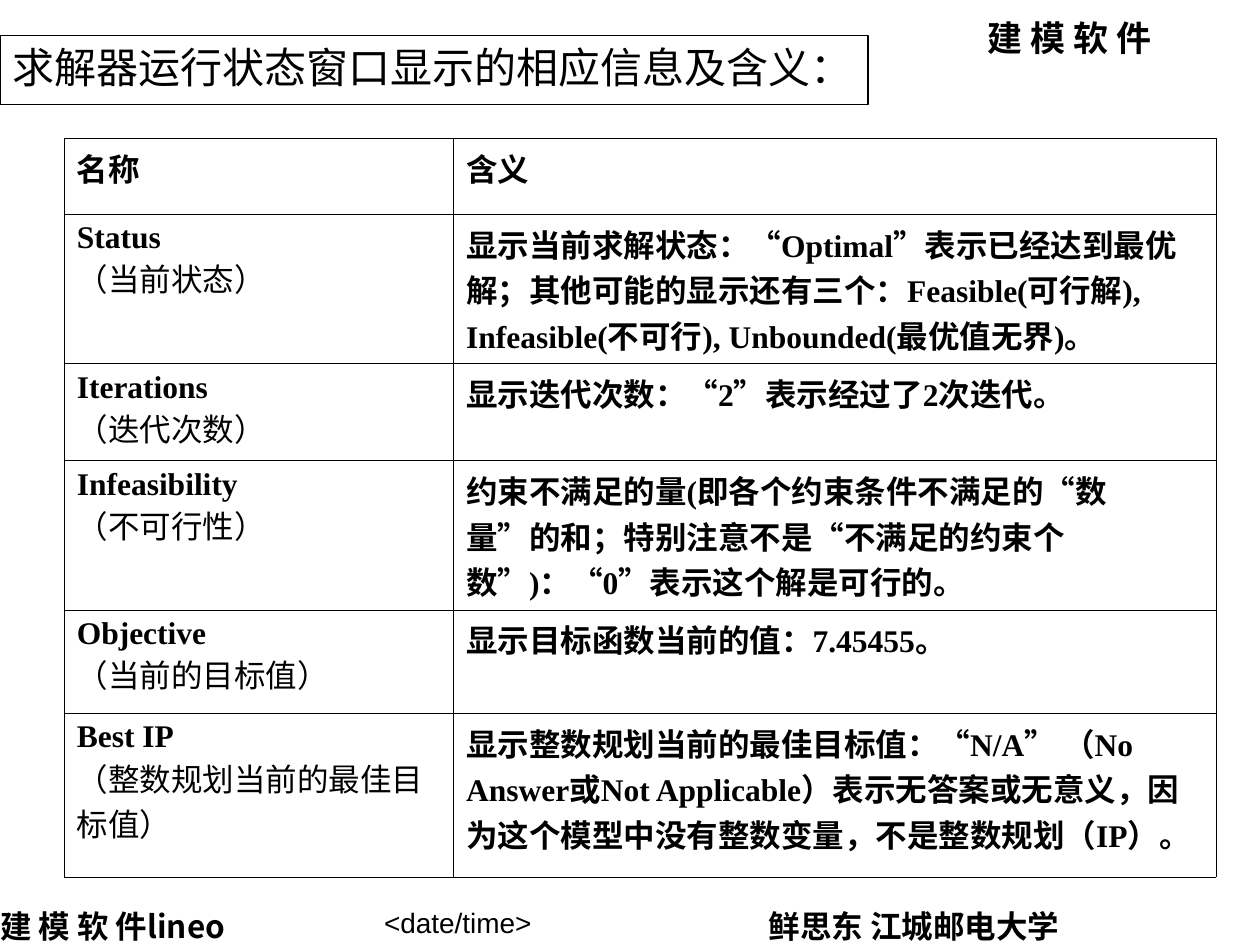
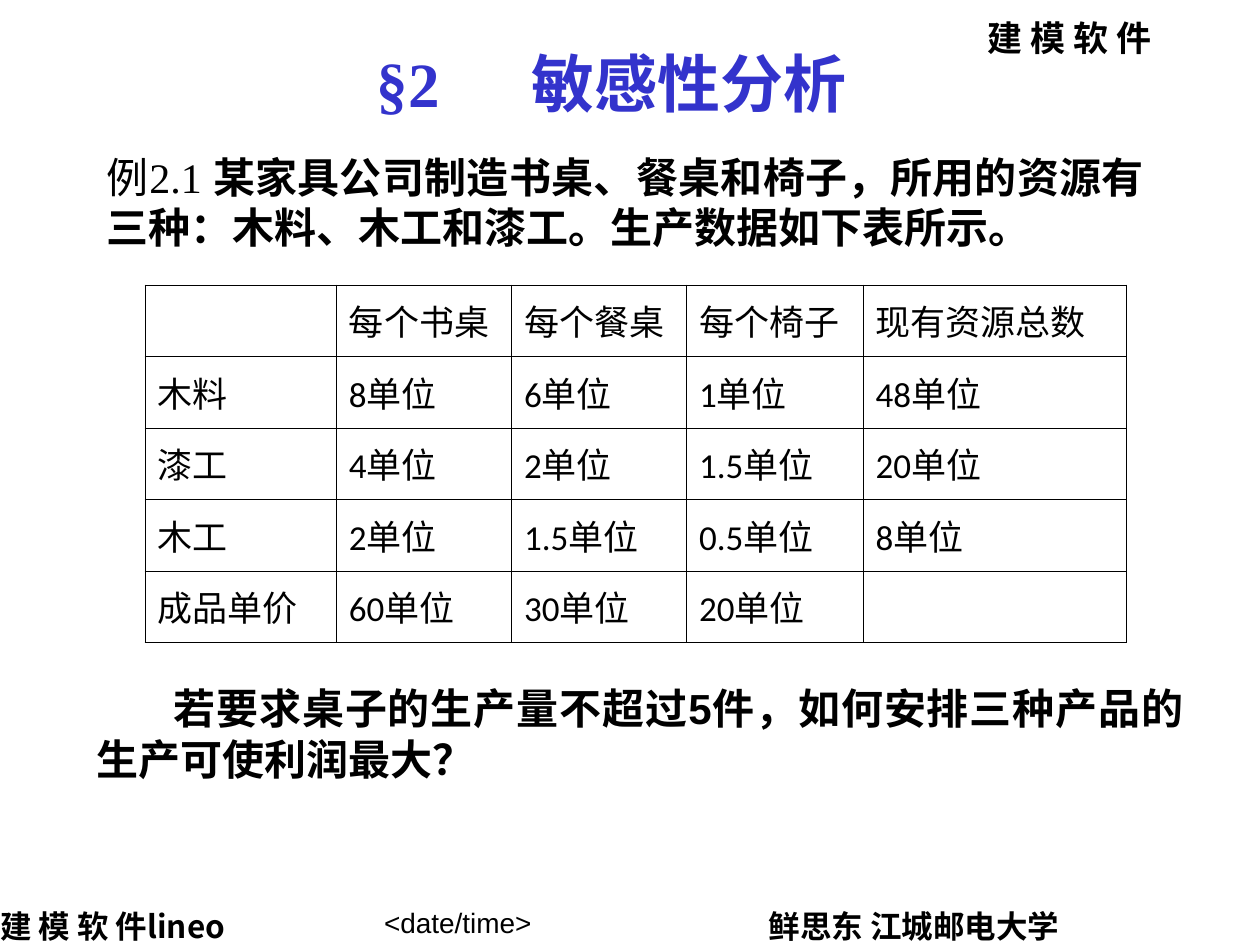
from itertools import groupby

from lxml.etree import SubElement
from pptx import Presentation
from pptx.dml.color import RGBColor
from pptx.enum.shapes import MSO_SHAPE
from pptx.enum.text import MSO_ANCHOR, MSO_AUTO_SIZE, PP_ALIGN
from pptx.oxml import parse_xml
from pptx.oxml.ns import nsdecls, qn
from pptx.util import Inches, Pt

COLORS = {"ink": "000000", "paper": "FFFFFF", "section": "3333CC"}
SERIF, SANS, TABLE_FONT, CJK = "Times New Roman", "Arial", "Calibri", "Noto Sans CJK SC"

STATUS_ROWS = [
    ("Status", "（当前状态）",
     "显示当前求解状态：“Optimal”表示已经达到最优解；其他可能的显示还有三个："
     "Feasible(可行解), Infeasible(不可行), Unbounded(最优值无界)。"),
    ("Iterations", "（迭代次数）", "显示迭代次数：“2”表示经过了2次迭代。"),
    ("Infeasibility", "（不可行性）",
     "约束不满足的量(即各个约束条件不满足的“数量”的和；"
     "特别注意不是“不满足的约束个数”)：“0”表示这个解是可行的。"),
    ("Objective", "（当前的目标值）", "显示目标函数当前的值：7.45455。"),
    ("Best IP", "（整数规划当前的最佳目标值）",
     "显示整数规划当前的最佳目标值：“N/A” （No Answer或Not Applicable）"
     "表示无答案或无意义，因为这个模型中没有整数变量，不是整数规划（IP）。"),
]
INFEASIBILITY_ROW = 3

RESOURCE_ROWS = [
    ("", "每个书桌", "每个餐桌", "每个椅子", "现有资源总数"),
    ("木料", "8单位", "6单位", "1单位", "48单位"),
    ("漆工", "4单位", "2单位", "1.5单位", "20单位"),
    ("木工", "2单位", "1.5单位", "0.5单位", "8单位"),
    ("成品单价", "60单位", "30单位", "20单位", ""),
]


def rgb(name):
    """Return the named palette colour."""
    return RGBColor.from_string(COLORS[name])


def write(paragraph, text, *, size, font, bold=False, color="ink"):
    """Append one formatted run to a paragraph."""
    run = paragraph.add_run()
    run.text = text
    run.font.size = Pt(size)
    run.font.name = font
    run.font.bold = bold
    run.font.color.rgb = rgb(color)
    SubElement(run.font._element, qn("a:ea"), typeface=CJK)


def write_mixed(paragraph, text, **style):
    """Write Latin stretches in the serif font and Chinese ones in the table font."""
    for latin, letters in groupby(text, str.isascii):
        write(paragraph, "".join(letters), font=SERIF if latin else TABLE_FONT, **style)


def place(shape, left, top, width, height):
    """Position a shape, in inches."""
    shape.left, shape.top = Inches(left), Inches(top)
    shape.width, shape.height = Inches(width), Inches(height)


def fill_paper(shape):
    """Fill a shape with the paper colour."""
    shape.fill.solid()
    shape.fill.fore_color.rgb = rgb("paper")


def set_frame(shape, *, size=None, inset=(0.1, 0.05), wrap=True, anchor=MSO_ANCHOR.TOP):
    """Prepare a text frame, with lines 1.2 sizes apart, and return its paragraph."""
    frame = shape.text_frame
    frame.auto_size = MSO_AUTO_SIZE.NONE
    frame.word_wrap = wrap
    frame.vertical_anchor = anchor
    frame.margin_left = frame.margin_right = Inches(inset[0])
    frame.margin_top = frame.margin_bottom = Inches(inset[1])
    paragraph = frame.paragraphs[0]
    paragraph.alignment = PP_ALIGN.LEFT
    if size:
        paragraph.line_spacing = Pt(1.2 * size)
    return paragraph


def add_text(slide, at, text, *, size, font, bold=False, **frame):
    """Add a text box and return its paragraph."""
    box = slide.shapes.add_textbox(*map(Inches, at))
    paragraph = set_frame(box, size=size, **frame)
    write(paragraph, text, size=size, font=font, bold=bold)
    return paragraph


def add_course_slide(deck):
    """Add a title-only slide with the course header and footers."""
    slide = deck.slides.add_slide(deck.slide_layouts[5])
    label = {"font": CJK, "bold": True}
    header = slide.shapes.add_shape(
        MSO_SHAPE.RECTANGLE, *map(Inches, (7.84, 0.13, 1.75, 0.33)))
    header.shadow.inherit = False
    header.line.fill.background()
    fill_paper(header)
    write(set_frame(header, size=20, inset=(0, 0)), "建 模 软 件", size=20, **label)
    add_text(slide, (0, 7.2, 2.25, 0.3), "建 模 软 件lineo", size=18, inset=(0, 0), **label)
    add_text(slide, (6.1, 7.2, 2.87, 0.3), "鲜思东 江城邮电大学", size=18, inset=(0, 0), **label)
    add_text(slide, (2.95, 6.98, 2.52, 0.52), "<date/time>", size=16, font=SANS,
             anchor=MSO_ANCHOR.BOTTOM)
    return slide


def border(cell, width):
    """Clear the cell's fill and rule all four of its sides."""
    cell.fill.background()
    properties = cell._tc.get_or_add_tcPr()
    for index, side in enumerate("LRTB"):
        properties.insert(index, parse_xml(
            f'<a:ln{side} {nsdecls("a")} w="{Pt(width)}"><a:solidFill>'
            f'<a:srgbClr val="{COLORS["ink"]}"/></a:solidFill></a:ln{side}>'))


def add_grid(slide, left, top, widths, heights, line):
    """Add a plain ruled table."""
    table = slide.shapes.add_table(
        len(heights), len(widths), Inches(left), Inches(top),
        Inches(sum(widths)), Inches(sum(heights))).table
    table.first_row = table.horz_banding = False
    for column, width in zip(table.columns, widths):
        column.width = Inches(width)
    for row, height in zip(table.rows, heights):
        row.height = Inches(height)
    for cell in table.iter_cells():
        border(cell, line)
    return table


def build_status_slide(deck):
    """Explain the fields of the solver status window."""
    slide = add_course_slide(deck)
    title = slide.shapes.title
    place(title, 0, 0.28, 6.89, 0.55)
    fill_paper(title)
    title.line.color.rgb = rgb("ink")
    title.line.width = Pt(0.75)
    write(set_frame(title, size=24),
          "求解器运行状态窗口显示的相应信息及含义：", size=24, font=SERIF)

    table = add_grid(slide, 0.51, 1.1, (3.09, 6.05), (0.6, 1.13, 0.77, 1, 0.82, 1.3), 0.45)
    for column, heading in enumerate(("名称", "含义")):
        write_mixed(table.cell(0, column).text_frame.paragraphs[0], heading, size=18, bold=True)
    for row, (name, translation, meaning) in enumerate(STATUS_ROWS, 1):
        name_frame = table.cell(row, 0).text_frame
        write_mixed(name_frame.paragraphs[0], name, size=18, bold=True)
        write_mixed(name_frame.add_paragraph(), translation, size=18)
        write_mixed(table.cell(row, 1).text_frame.paragraphs[0], meaning, size=18, bold=True)
    table.cell(INFEASIBILITY_ROW, 1).margin_right = Inches(0.4)


def build_sensitivity_slide(deck):
    """Pose the furniture production example."""
    slide = add_course_slide(deck)
    title = slide.shapes.title
    place(title, 2.89, 0.3, 4.69, 0.7)
    heading = set_frame(title, size=36, wrap=False)
    write(heading, "§2\t敏感性分析", size=36, font=SERIF, bold=True, color="section")
    tabs = SubElement(heading._p.get_or_add_pPr(), qn("a:tabLst"))
    SubElement(tabs, qn("a:tab"), pos=str(Inches(1.23)), algn="l")

    example = add_text(slide, (0.75, 1.15, 8.43, 0.9), "例2.1 ", size=24, font=SERIF)
    example.alignment = PP_ALIGN.JUSTIFY
    write(example, "某家具公司制造书桌、餐桌和椅子，所用的资源有三种："
          "木料、木工和漆工。生产数据如下表所示。", size=24, font=SANS, bold=True)

    table = add_grid(slide, 1.15, 2.26, (1.52, 1.39, 1.39, 1.4, 2.09), [2.84 / 5] * 5, 0.23)
    for row, entries in enumerate(RESOURCE_ROWS):
        for column, entry in enumerate(entries):
            cell = table.cell(row, column)
            cell.vertical_anchor = MSO_ANCHOR.MIDDLE
            if entry:
                write(cell.text_frame.paragraphs[0], entry, size=20, font=TABLE_FONT)

    question = add_text(slide, (0.67, 5.37, 8.82, 0.9),
                        "若要求桌子的生产量不超过5件，如何安排三种产品的生产可使利润最大？",
                        size=24, font=SANS, bold=True)
    question.alignment = PP_ALIGN.JUSTIFY
    question._p.get_or_add_pPr().set("indent", str(Inches(0.61)))


def main():
    """Build and save the deck."""
    deck = Presentation()
    deck.slide_width, deck.slide_height = Inches(10), Inches(7.5)
    build_status_slide(deck)
    build_sensitivity_slide(deck)
    deck.save("out.pptx")


if __name__ == "__main__":
    main()
